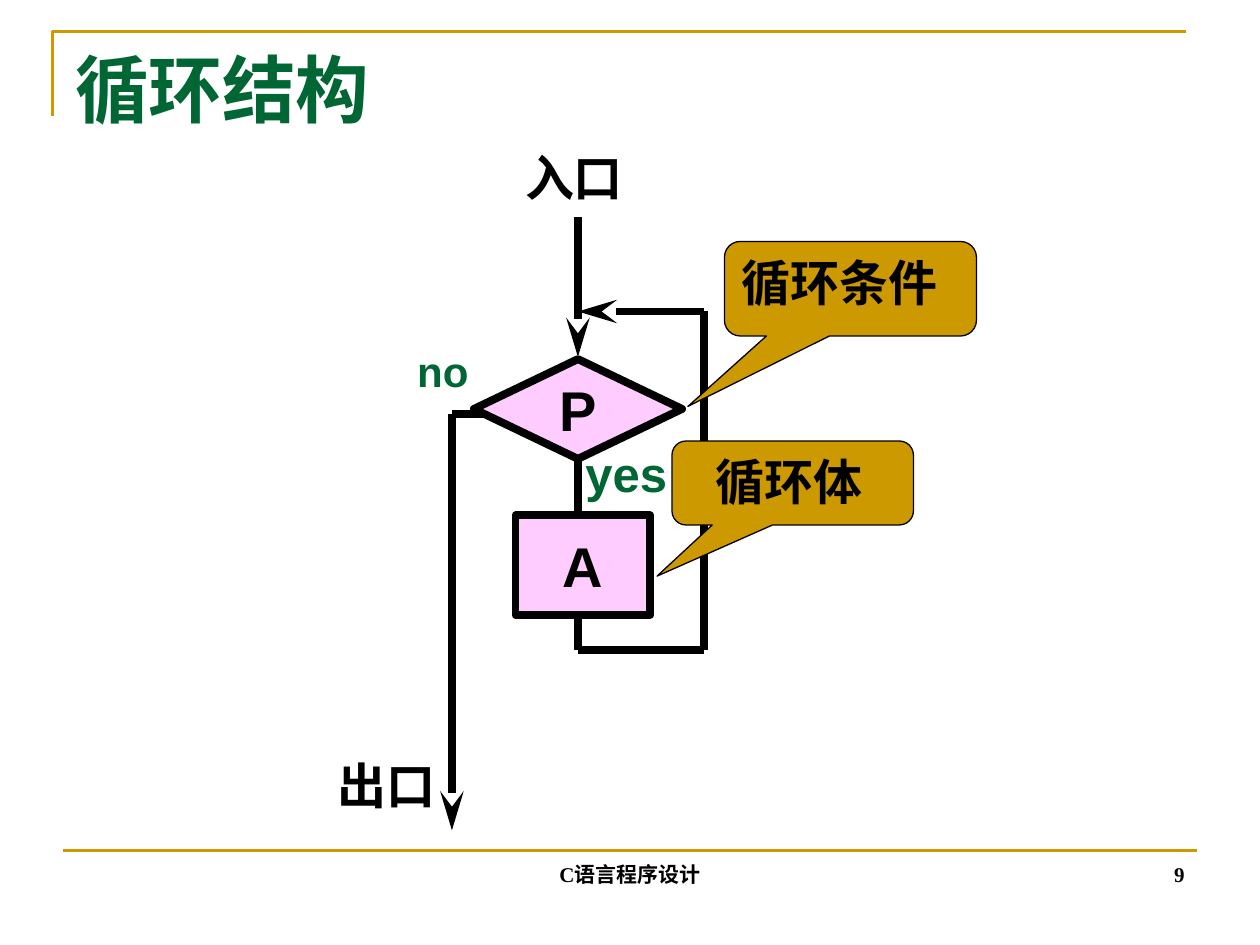
"""Builds the loop-structure flowchart slide."""
from lxml import etree
from pptx import Presentation
from pptx.dml.color import RGBColor
from pptx.enum import shapes, text
from pptx.oxml import ns
from pptx.util import Pt

BLACK, GREEN, GOLD, PINK = "000000", "006633", "CC9900", "FFCCFF"
SERIF, SANS, CJK = "Times New Roman", "Arial", "Noto Sans CJK JP"
LEFT, CENTER, RIGHT = text.PP_ALIGN.LEFT, text.PP_ALIGN.CENTER, text.PP_ALIGN.RIGHT
TOP, MIDDLE, BOTTOM = text.MSO_ANCHOR.TOP, text.MSO_ANCHOR.MIDDLE, text.MSO_ANCHOR.BOTTOM
DIAMOND = shapes.MSO_SHAPE.DIAMOND
RECTANGLE = shapes.MSO_SHAPE.RECTANGLE
CALLOUT = shapes.MSO_SHAPE.ROUNDED_RECTANGULAR_CALLOUT

FRAME = [(30, 66.2), (30, 18), (678, 18)]
FOOTER_RULE = [(36, 486), (684, 486)]
AXIS, BACK, EXIT = 330.25, 402.25, 258.25
LOOP_TOP, LOOP_BOTTOM, EXIT_TOP = 178, 371.5, 236.5

LABELS = [
    ("C语言程序设计", (246, 474.5, 228, 36), dict(size=12, font=SERIF, anchor=BOTTOM)),
    ("9", (516, 474, 168, 36), dict(size=12, font=SERIF, anchor=BOTTOM, align=RIGHT)),
    ("入口", (264, 84.2, 128, 34), dict(size=28, anchor=MIDDLE, wrap=False)),
    ("no", (229, 193.7, 48.2, 36), dict(size=24, color=GREEN)),
    ("yes", (324.7, 249.8, 66.2, 41), dict(size=28, color=GREEN)),
    ("出口", (174.2, 428.4, 93.6, 41), dict(size=28)),
    ("循环结构", (36, 21.6, 648, 90), dict(size=42, font=SERIF, color=GREEN, align=LEFT)),
]
STEPS = [
    ("P", DIAMOND, (270.8, 205.2, 119, 57)),
    ("A", RECTANGLE, (294.6, 294.5, 77, 57)),
]
FLOWS = [
    ([(AXIS, 124), (AXIS, 204)], True),
    ([(AXIS, 262), (AXIS, 294)], False),
    ([(AXIS, 352), (AXIS, LOOP_BOTTOM), (BACK, LOOP_BOTTOM), (BACK, LOOP_TOP), (AXIS, LOOP_TOP)], True),
    ([(276.5, EXIT_TOP), (EXIT, EXIT_TOP), (EXIT, 474.5)], True),
]
NOTES = [
    ("循环条件", (414, 138, 144, 54), (-0.645, 1.245), 7.2),
    ("循环体", (384, 252, 138, 48), (-0.562, 1.109), 22.8),
]


def rgb(value):
    return RGBColor.from_string(value)


def write(shape, words, size=28, font=SANS, color=BLACK, align=CENTER, anchor=TOP, wrap=True, inset=7.2):
    frame = shape.text_frame
    frame.word_wrap = wrap
    frame.vertical_anchor = anchor
    frame.margin_left = Pt(inset)
    paragraph = frame.paragraphs[0]
    paragraph.alignment = align
    run = paragraph.add_run()
    run.text = words
    run.font.name, run.font.size, run.font.bold = font, Pt(size), True
    run.font.color.rgb = rgb(color)


def stroke(shape, color, width):
    shape.line.color.rgb = rgb(color)
    shape.line.width = Pt(width)


def add_block(slide, kind, box, fill, width):
    block = slide.shapes.add_shape(kind, *map(Pt, box))
    block.shadow.inherit = False
    block.fill.solid()
    block.fill.fore_color.rgb = rgb(fill)
    stroke(block, BLACK, width)
    return block


def add_route(slide, points, color, width, arrow=False):
    for start, end in zip(points, points[1:]):
        link = slide.shapes.add_connector(shapes.MSO_CONNECTOR.STRAIGHT, *map(Pt, start + end))
        stroke(link, color, width)
        etree.SubElement(link._element.spPr, ns.qn("a:effectLst"))
    if arrow:
        etree.SubElement(link.line._get_or_add_ln(), ns.qn("a:tailEnd"), type="stealth", w="med", len="lg")


def add_frame(slide):
    builder = slide.shapes.build_freeform(*map(Pt, FRAME[0]))
    builder.add_line_segments([tuple(map(Pt, point)) for point in FRAME[1:]], close=False)
    frame = builder.convert_to_shape()
    frame.shadow.inherit = False
    frame.fill.background()
    stroke(frame, GOLD, 1.5)


def main():
    deck = Presentation()
    deck.slide_width, deck.slide_height = Pt(720), Pt(540)
    slide = deck.slides.add_slide(deck.slide_layouts[6])
    add_frame(slide)
    add_route(slide, FOOTER_RULE, GOLD, 1.5)
    for words, kind, box in STEPS:
        write(add_block(slide, kind, box, PINK, 4.5), words, size=32, anchor=MIDDLE, wrap=False)
    for points, arrow in FLOWS:
        add_route(slide, points, BLACK, 4.5, arrow)
    for words, box, tip, inset in NOTES:
        note = add_block(slide, CALLOUT, box, GOLD, 0.75)
        note.adjustments[0], note.adjustments[1] = tip
        write(note, words, font=CJK, align=LEFT, inset=inset)
    for words, box, style in LABELS:
        write(slide.shapes.add_textbox(*map(Pt, box)), words, **style)
    deck.save("out.pptx")


if __name__ == "__main__":
    main()
